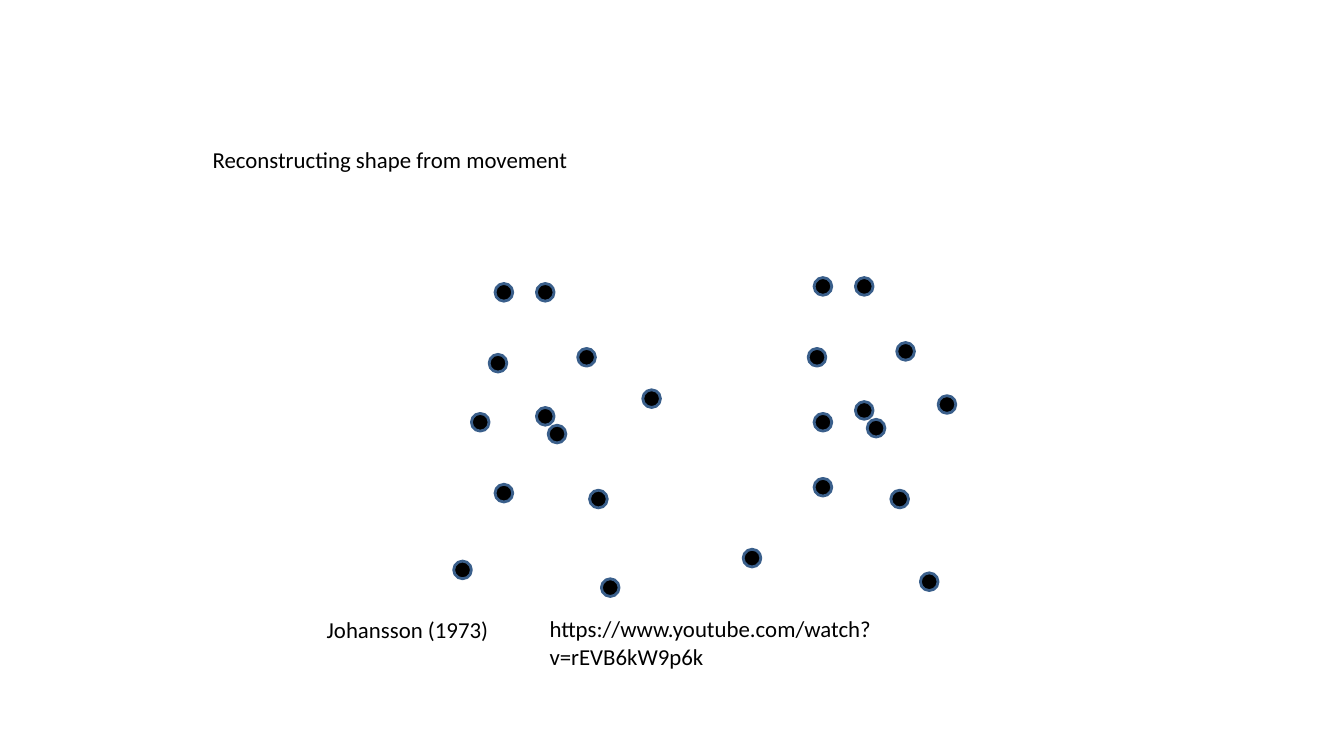
import pptx
import pptx.util
import pptx.dml.color
import pptx.enum.shapes
import pptx.enum.text

deck = pptx.Presentation()
deck.slide_width = pptx.util.Inches(13.33)
deck.slide_height = pptx.util.Inches(7.5)
slide = deck.slides.add_slide(deck.slide_layouts[6])

# Grid: 128 rows in the slide's height, square cells
cell = 7.5 / 128
left, top = 4.5, 47 * cell  # corner of the dot field
size = pptx.util.Inches(3 * cell)


def color(code):
    return pptx.dml.color.RGBColor.from_string(code)


def write(text, x, y, wide, high, wrap=False, inset=(0.07, 0.07, 0.07, 0.03),
          font="Calibri", points=16.3, ink="000000"):
    box = slide.shapes.add_textbox(*map(pptx.util.Inches, (x, y, wide, high)))
    frame = box.text_frame
    frame.word_wrap = wrap
    frame.auto_size = pptx.enum.text.MSO_AUTO_SIZE.SHAPE_TO_FIT_TEXT
    (frame.margin_left, frame.margin_top, frame.margin_right,
     frame.margin_bottom) = map(pptx.util.Inches, inset)
    run = frame.paragraphs[0].add_run()
    run.text = text
    run.font.name = font
    run.font.size = pptx.util.Pt(points)
    run.font.color.rgb = color(ink)


# Dots of both walkers as (column, row) in the field
first = [(7, 1), (32, 19), (21, 12), (14, 1), (6, 13), (3, 23),
         (25, 51), (23, 36), (16, 25), (14, 22), (7, 35), (0, 48)]
second = [(61, 0), (82, 20), (75, 11), (68, 0), (60, 12), (61, 23),
          (79, 50), (74, 36), (70, 24), (68, 21), (61, 34), (49, 46)]

# The first walker is one group, the second stays loose
group = slide.shapes.add_group_shape()
for host, dots in ((group.shapes, first), (slide.shapes, second)):
    for col, row in dots:
        dot = host.add_shape(
            pptx.enum.shapes.MSO_SHAPE.OVAL,
            pptx.util.Inches(left + col * cell),
            pptx.util.Inches(top + row * cell), size, size)
        dot.shadow.inherit = False
        dot.fill.solid()
        dot.fill.fore_color.rgb = color("000000")
        dot.line.color.rgb = color("3A5F8B")
        dot.line.width = pptx.util.Pt(2)

# Source, link and heading
write("Johansson (1973)", 3.17, 6.04, 1.81, 0.38)
write("https://www.youtube.com/watch?v=rEVB6kW9p6k", 5.38, 6.03, 4.75, 0.65,
      wrap=True)
write("Reconstructing shape from movement", 2.01, 1.4, 3.77, 0.38,
      inset=(0.1, 0.05, 0.1, 0.05))

deck.save("out.pptx")
